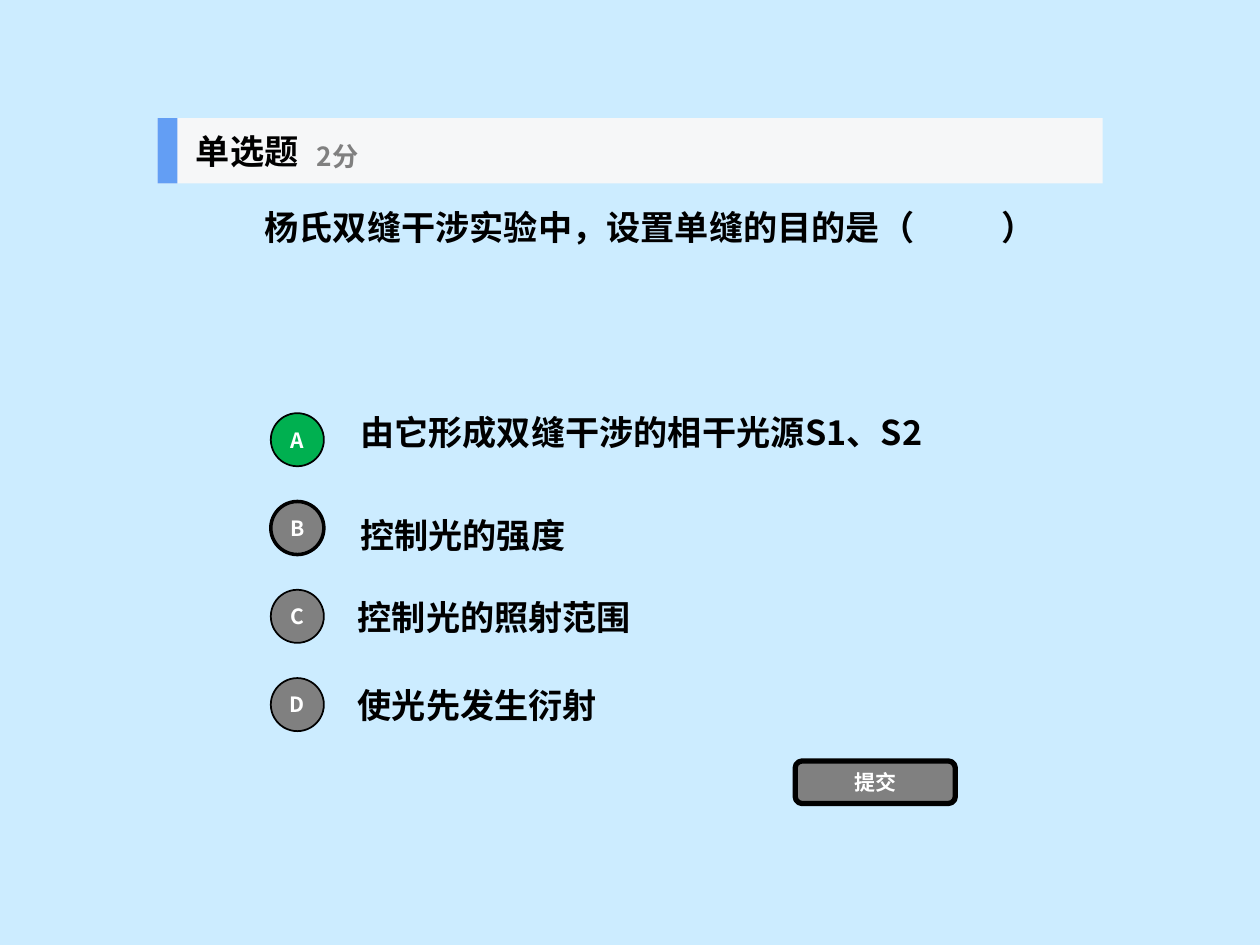
"""Build a single-choice quiz slide about Young's double-slit experiment."""
from dataclasses import dataclass

from lxml.etree import SubElement
from pptx import Presentation
from pptx.dml.color import RGBColor
from pptx.enum.shapes import MSO_SHAPE as Shape
from pptx.enum.text import MSO_ANCHOR as Anchor, MSO_AUTO_SIZE as AutoSize, PP_ALIGN as Align
from pptx.oxml.ns import qn
from pptx.util import Cm, Pt

FONT = "Noto Sans CJK SC"
BLACK, WHITE, GRAY, GREEN = "000000", "FFFFFF", "808080", "00B050"
BACKGROUND, BAR, ACCENT = "CCECFF", "F6F7F8", "639EF4"
HEADING, SCORE, LABEL = 19.5, 15, 12
BADGE_LEFT, BADGE_TOP, BADGE_SIZE, BADGE_PITCH = 5.46, 8.33, 1.07, 1.78


@dataclass(frozen=True)
class Box:
    left: float
    top: float
    width: float
    height: float

    def lengths(self) -> tuple:
        return tuple(Cm(v) for v in (self.left, self.top, self.width, self.height))


@dataclass(frozen=True)
class Option:
    letter: str
    text: str
    box: Box
    fill: str = GRAY
    line: float = 1


OPTIONS = (
    Option("A", "由它形成双缝干涉的相干光源S1、S2", Box(7.01, 8.2, 13.31, 1), fill=GREEN),
    Option("B", "控制光的强度", Box(7.01, 10.11, 13.31, 1.35), line=2),
    Option("C", "控制光的照射范围", Box(6.96, 11.76, 13.31, 1.35)),
    Option("D", "使光先发生衍射", Box(6.96, 13.54, 13.31, 1.35)),
)


def rgb(color: str) -> RGBColor:
    return RGBColor.from_string(color)


def set_all(target, values: dict) -> None:
    for name, value in values.items():
        setattr(target, name, value)


def write(sp, text: str, size: float, color: str, align=Align.LEFT, **frame) -> None:
    tf = sp.text_frame
    set_all(tf, {"word_wrap": True, "auto_size": AutoSize.NONE,
                 "vertical_anchor": Anchor.MIDDLE, **frame})
    p = tf.paragraphs[0]
    p.alignment = align
    r = p.add_run()
    r.text = text
    set_all(r.font, {"name": FONT, "size": Pt(size), "bold": True})
    r.font.color.rgb = rgb(color)
    SubElement(r.font._element, qn("a:ea"), typeface=FONT)


def add_text(shapes, box: Box, text: str, size: float = HEADING, color: str = BLACK) -> None:
    write(shapes.add_textbox(*box.lengths()), text, size, color)


def add_block(shapes, kind, box: Box, fill: str, line: float = 0, text: str = "") -> None:
    sp = shapes.add_shape(kind, *box.lengths())
    sp.shadow.inherit = False
    sp.fill.solid()
    sp.fill.fore_color.rgb = rgb(fill)
    if line:
        sp.line.color.rgb = rgb(BLACK)
        sp.line.width = Pt(line)
    else:
        sp.line.fill.background()
    if text:
        write(sp, text, LABEL, WHITE, Align.CENTER,
              margin_left=0, margin_right=0, margin_top=0, margin_bottom=0)


def add_question(s, box: Box, text: str, tab: float) -> None:
    sp = s.shapes.title
    set_all(sp, dict(zip(("left", "top", "width", "height"), box.lengths())))
    tabs = SubElement(sp.text_frame.paragraphs[0]._p.get_or_add_pPr(), qn("a:tabLst"))
    SubElement(tabs, qn("a:tab"), pos=str(Cm(tab)), algn="l")
    write(sp, text, HEADING, BLACK, vertical_anchor=Anchor.TOP, margin_top=Cm(0.46))


def add_header(s) -> None:
    shapes = s.shapes.add_group_shape().shapes
    add_block(shapes, Shape.RECTANGLE, Box(3.18, 2.38, 19.05, 1.32), BAR)
    add_block(shapes, Shape.RECTANGLE, Box(3.18, 2.38, 0.4, 1.32), ACCENT)
    add_text(shapes, Box(3.7, 2.38, 3.96, 1.32), "单选题")
    add_text(shapes, Box(6.14, 2.62, 4.78, 1.07), "2分", SCORE, GRAY)


def main() -> None:
    prs = Presentation()
    prs.slide_width, prs.slide_height = Cm(25.4), Cm(19.05)
    s = prs.slides.add_slide(prs.slide_layouts[5])
    s.background.fill.solid()
    s.background.fill.fore_color.rgb = rgb(BACKGROUND)
    add_question(s, Box(5.08, 3.7, 17.91, 2.72), "杨氏双缝干涉实验中，设置单缝的目的是（\t）", 14.85)
    for option in OPTIONS:
        add_text(s.shapes, option.box, option.text)
    for i, option in enumerate(OPTIONS):
        badge = Box(BADGE_LEFT, BADGE_TOP + i * BADGE_PITCH, BADGE_SIZE, BADGE_SIZE)
        add_block(s.shapes, Shape.OVAL, badge, option.fill, option.line, option.letter)
    add_block(s.shapes, Shape.ROUNDED_RECTANGLE, Box(16.03, 15.34, 3.23, 0.86), GRAY, 3, "提交")
    add_header(s)
    prs.save("out.pptx")


if __name__ == "__main__":
    main()
